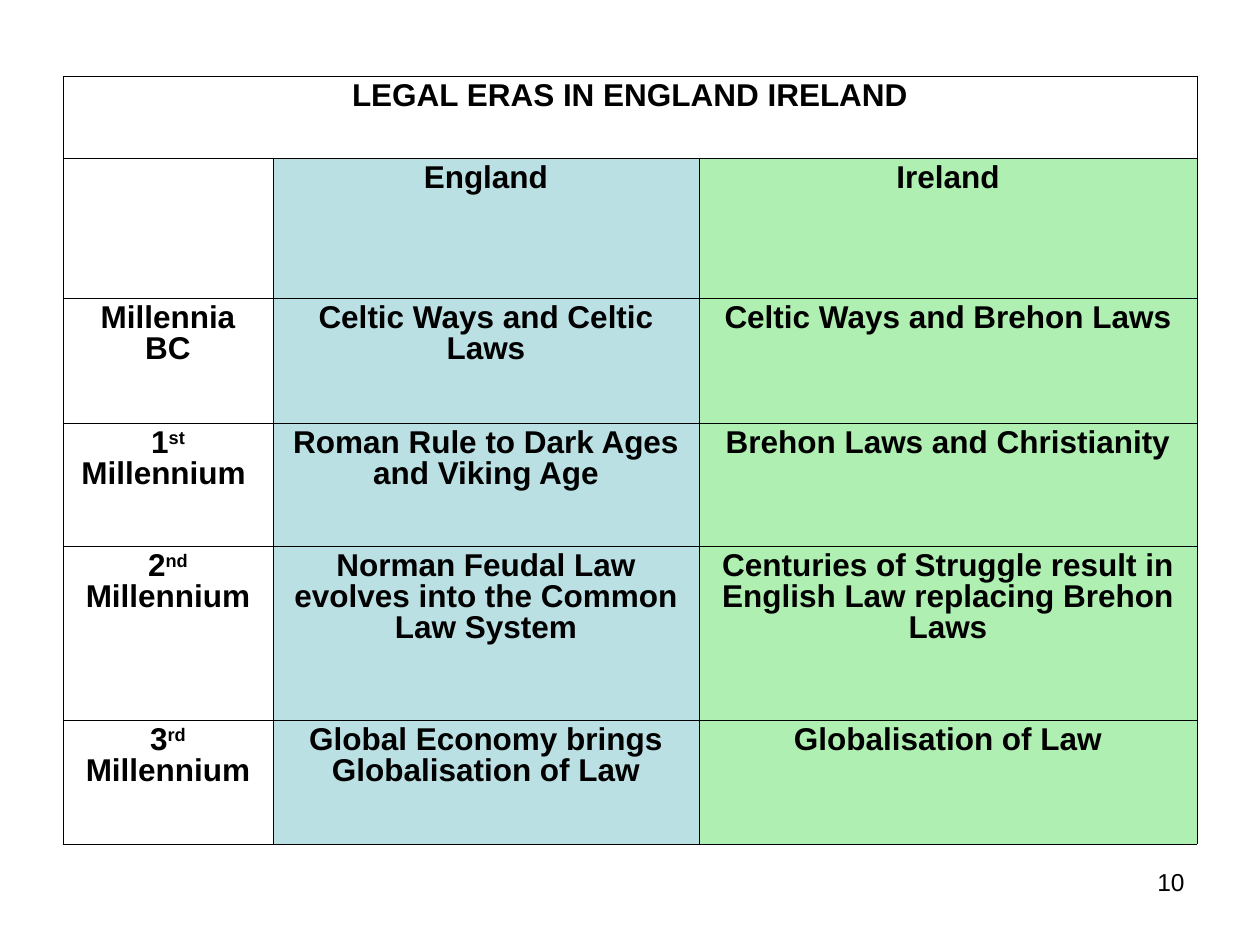
from lxml.etree import SubElement
from pptx import Presentation
from pptx.dml.color import RGBColor
from pptx.enum.text import PP_ALIGN
from pptx.oxml.ns import qn
from pptx.util import Pt

SCALE = 914400 / 126
TITLE = "LEGAL ERAS IN ENGLAND IRELAND"
ROWS = [
    ("", "England", "Ireland"),
    ("Millennia BC", "Celtic Ways and Celtic Laws", "Celtic Ways and Brehon Laws"),
    (("1", "st", " Millennium "), "Roman Rule to Dark Ages and Viking Age",
     "Brehon Laws and Christianity"),
    (("2", "nd", " Millennium"), "Norman Feudal Law evolves into the Common Law System",
     "Centuries of Struggle result in English Law replacing Brehon Laws"),
    (("3", "rd", " Millennium"), "Global Economy brings Globalisation of Law",
     "Globalisation of Law"),
]
COL_WIDTHS = [210, 426, 498]
ROW_HEIGHTS = [82, 140, 125, 123, 174, 124]
COL_FILLS = ["FFFFFF", "BBE0E3", "AFEFB2"]
TABLE_AT = (63, 76)
NUMBER, NUMBER_AT = "10", (903, 861, 294, 66)
CELL_FONT = {"name": "Arial", "size": Pt(18), "bold": True}
NUMBER_FONT = {"name": "Arial", "size": Pt(14), "bold": False}


def px(n):
    return round(n * SCALE)


def color(value):
    return RGBColor.from_string(value)


def write(p, parts, font, align):
    p.alignment = align
    for name, value in font.items():
        setattr(p.font, name, value)
    for i, text in enumerate(parts):
        r = p.add_run()
        r.text = text
        for name, value in font.items():
            setattr(r.font, name, value)
        r.font.color.rgb = color("000000")
        if i == 1:
            r.font._element.set("baseline", "30000")


def add_borders(cell):
    tcPr = cell._tc.get_or_add_tcPr()
    for side in ("lnL", "lnR", "lnT", "lnB"):
        ln = SubElement(tcPr, qn(f"a:{side}"), w=str(Pt(0.23)))
        fill = SubElement(ln, qn("a:solidFill"))
        SubElement(fill, qn("a:srgbClr"), val="000000")


def add_eras_table(s):
    grid = [(TITLE, "", "")] + ROWS
    table = s.shapes.add_table(
        len(grid), len(COL_WIDTHS), *map(px, TABLE_AT),
        px(sum(COL_WIDTHS)), px(sum(ROW_HEIGHTS))).table
    table.first_row = table.horz_banding = False
    for col, width in zip(table.columns, COL_WIDTHS):
        col.width = px(width)
    for row, height in zip(table.rows, ROW_HEIGHTS):
        row.height = px(height)
    for i, texts in enumerate(grid):
        for j, text in enumerate(texts):
            cell = table.cell(i, j)
            add_borders(cell)
            if i == 0:
                cell.fill.background()
            else:
                cell.fill.solid()
                cell.fill.fore_color.rgb = color(COL_FILLS[j])
            p = cell.text_frame.paragraphs[0]
            p.line_spacing = 0.87
            if text:
                parts = (text,) if isinstance(text, str) else text
                write(p, parts, CELL_FONT, PP_ALIGN.CENTER)
    table.cell(0, 0).merge(table.cell(0, len(COL_WIDTHS) - 1))


def add_number(s):
    tf = s.shapes.add_textbox(*map(px, NUMBER_AT)).text_frame
    tf.word_wrap = True
    write(tf.paragraphs[0], (NUMBER,), NUMBER_FONT, PP_ALIGN.RIGHT)


def main():
    prs = Presentation()
    prs.slide_width, prs.slide_height = px(1260), px(945)
    s = prs.slides.add_slide(prs.slide_layouts[6])
    add_number(s)
    add_eras_table(s)
    prs.save("out.pptx")


if __name__ == "__main__":
    main()
